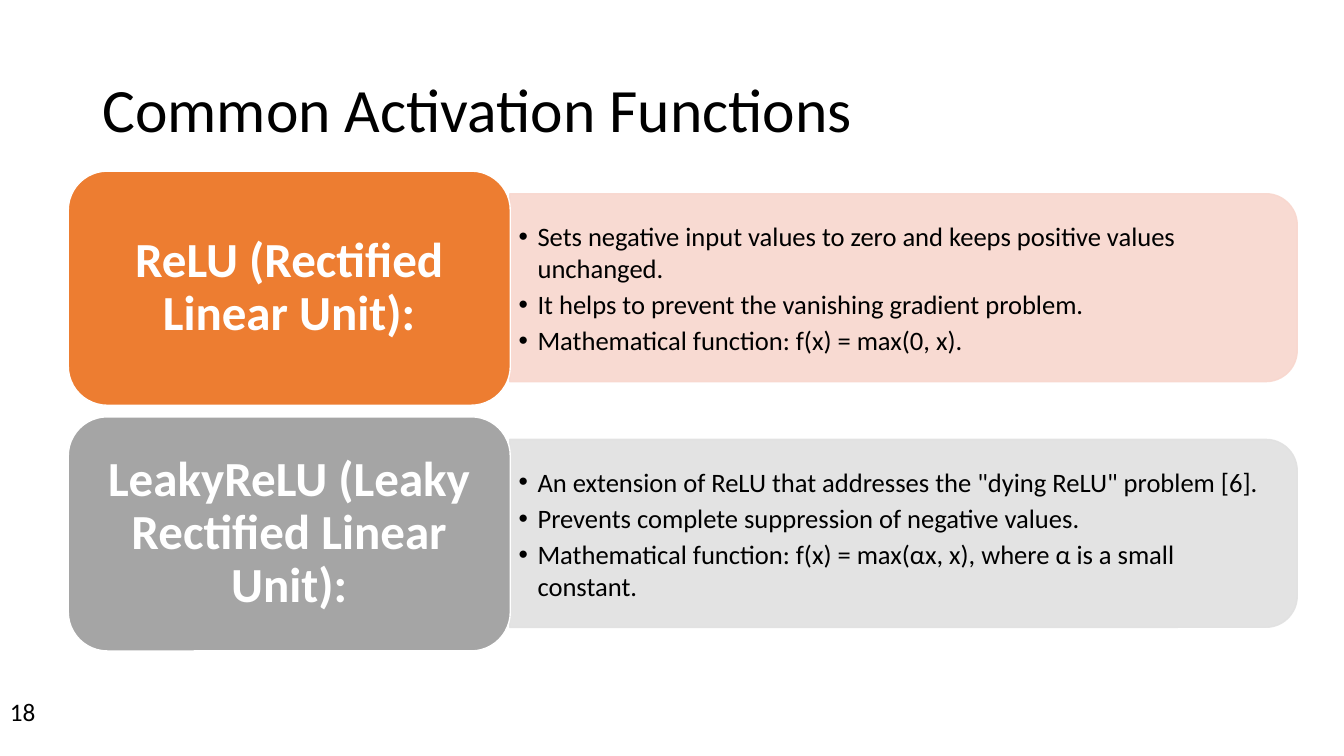
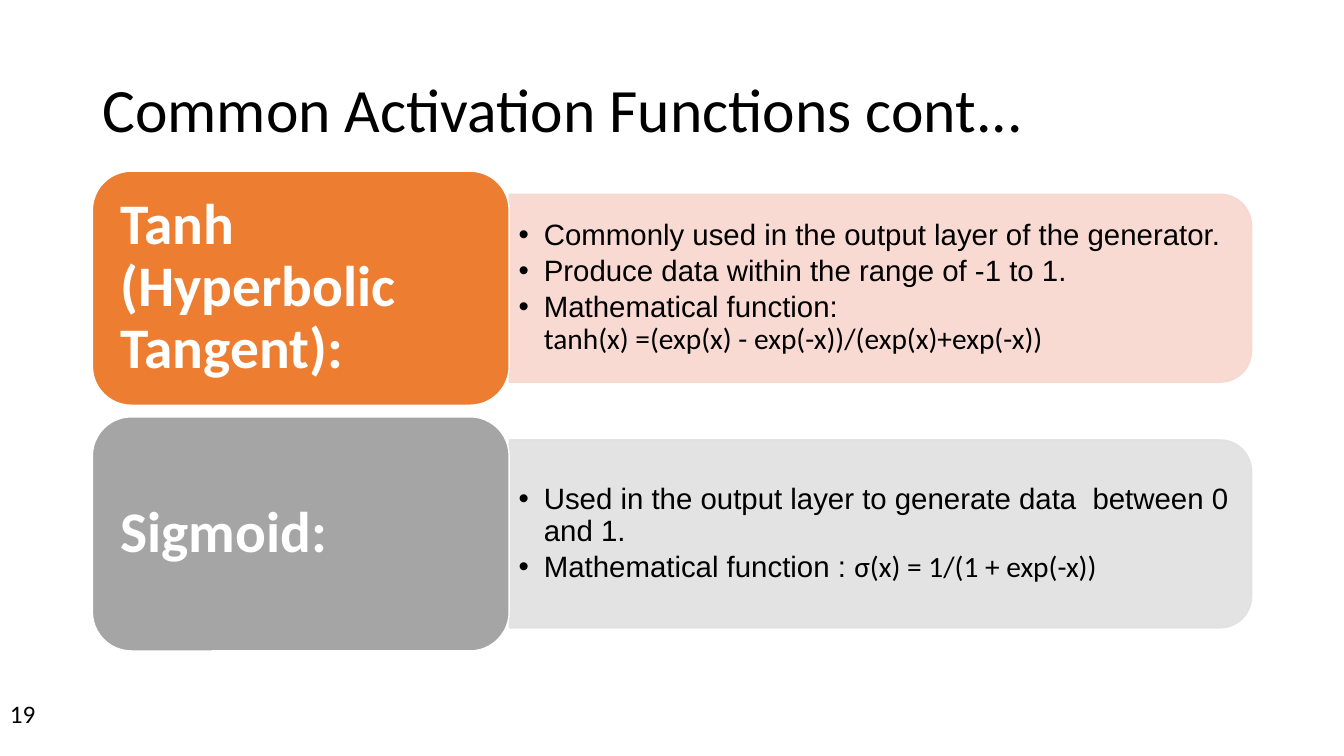
import dataclasses

import pptx
import pptx.dml.color
import pptx.enum.shapes
import pptx.enum.text
import pptx.oxml
import pptx.oxml.ns
import pptx.util

PX = 9525
SHAPES = pptx.enum.shapes.MSO_SHAPE
ALIGN = pptx.enum.text.PP_ALIGN
MIDDLE = pptx.enum.text.MSO_ANCHOR.MIDDLE


@dataclasses.dataclass(frozen=True)
class Theme:
    black: str = "000000"
    white: str = "FFFFFF"
    rows: tuple = (("ED7D31", "F8D7CE"), ("A5A5A5", "E1E1E1"))
    panel_opacity: int = 90
    font: str = "Calibri"
    title_size: int = 44
    number_size: int = 18


THEME = Theme()


@dataclasses.dataclass(frozen=True)
class Box:
    left: int
    top: int
    width: int
    height: int

    def emu(self):
        return [value * PX for value in dataclasses.astuple(self)]


@dataclasses.dataclass(frozen=True)
class CardStyle:
    """What differs between the card lists of the two slides."""
    label_width: int
    label_size: int
    label_align: ALIGN
    label_insets: tuple
    body_font: str
    body_size: int
    body_insets: tuple
    line_spacing: float
    hanging: int


CENTRED = CardStyle(421, 35, ALIGN.CENTER, (14, 7), "Calibri", 19, (8, 4), 1.0, 18)
LEFT_SET = CardStyle(397, 41, ALIGN.LEFT, (16, 8), "Arial", 21, (9, 4), 0.9, 24)

TITLE_BOX = Box(88, 38, 1104, 139)
ROW_HEIGHT = 223
ROW_GAP = 11
PANEL_INSET = 22
TEXT_INSET = 9

SLIDES = (
    {
        "title": "Common Activation Functions",
        "number": ("18", Box(0, 658, 288, 38)),
        "style": CENTRED,
        "area": Box(65, 163, 1171, 457),
        "cards": (
            ("ReLU (Rectified Linear Unit):", (
                ("Sets negative input values to zero and keeps positive values unchanged.",),
                ("It helps to prevent the vanishing gradient problem.",),
                ("Mathematical function: f(x) = max(0, x).",),
            )),
            ("LeakyReLU (Leaky Rectified Linear Unit):", (
                ('An extension of ReLU that addresses the "dying ReLU" problem [6].',),
                ("Prevents complete suppression of negative values.",),
                ("Mathematical function: f(x) = max(αx, x), where α is a small constant.",),
            )),
        ),
    },
    {
        "title": "Common Activation Functions cont...",
        "number": ("19", Box(0, 660, 288, 38)),
        "style": LEFT_SET,
        "area": Box(88, 163, 1104, 457),
        "cards": (
            ("Tanh (Hyperbolic Tangent):", (
                ("Commonly used in the output layer of the generator.",),
                ("Produce data within the range of -1 to 1.",),
                ("Mathematical function:\n", "tanh(x) =(exp(x) - exp(-x))/(exp(x)+exp(-x))"),
            )),
            ("Sigmoid:", (
                ("Used in the output layer to generate data  between 0 and 1.",),
                ("Mathematical function : ", "σ(x) = 1/(1 + exp(-x))"),
            )),
        ),
    },
)


def rgb(value):
    return pptx.dml.color.RGBColor.from_string(value)


def assign(target, values):
    for name, value in values.items():
        setattr(target, name, value)


def format_run(run, size, color, font=THEME.font, bold=False):
    assign(run.font, {"size": pptx.util.Pt(size), "name": font, "bold": bold})
    run.font.color.rgb = rgb(color)


def format_frame(frame, insets):
    across, down = (inset * PX for inset in insets)
    assign(frame, {
        "word_wrap": True, "vertical_anchor": MIDDLE,
        "margin_left": across, "margin_right": across,
        "margin_top": down, "margin_bottom": down,
    })


def paint(shape, fill, line):
    shape.shadow.inherit = False
    shape.fill.solid()
    shape.fill.fore_color.rgb = rgb(fill)
    shape.line.color.rgb = rgb(line)
    shape.line.width = pptx.util.Pt(1)


def set_opacity(shape, percent):
    """Make both fill and outline partly transparent."""
    for color in shape.element.spPr.iter(pptx.oxml.ns.qn("a:srgbClr")):
        alpha = pptx.oxml.parse_xml(f'<a:alpha {pptx.oxml.ns.nsdecls("a")} val="{percent * 1000}"/>')
        color.append(alpha)


def add_bullet(paragraph, hanging):
    properties = paragraph._p.get_or_add_pPr()
    properties.set("marL", str(hanging * PX))
    properties.set("indent", str(-hanging * PX))
    for tag, attribute in (("buFont", 'typeface="Arial"'), ("buChar", 'char="•"')):
        properties.append(pptx.oxml.parse_xml(f'<a:{tag} {pptx.oxml.ns.nsdecls("a")} {attribute}/>'))


def place_title(slide, text, box):
    title = slide.shapes.title
    assign(title, dict(zip(("left", "top", "width", "height"), box.emu())))
    title.text_frame.text = text
    assign(title.text_frame, {"word_wrap": True, "vertical_anchor": MIDDLE})
    heading = title.text_frame.paragraphs[0]
    assign(heading, {"alignment": ALIGN.LEFT, "line_spacing": 0.9})
    format_run(heading.runs[0], THEME.title_size, THEME.black)


def place_number(slide, text, box):
    frame = slide.shapes.add_textbox(*box.emu()).text_frame
    frame.word_wrap = True
    frame.text = text
    format_run(frame.paragraphs[0].runs[0], THEME.number_size, THEME.black)


def place_panel(slide, box, color):
    """Draw a panel with its two right corners rounded, as a quarter-turned shape."""
    upright = Box(box.left + (box.width - box.height) // 2,
                  box.top + (box.height - box.width) // 2, box.height, box.width)
    panel = slide.shapes.add_shape(SHAPES.ROUND_2_SAME_RECTANGLE, *upright.emu())
    panel.rotation = 90
    paint(panel, color, color)
    set_opacity(panel, THEME.panel_opacity)


def place_points(slide, box, points, style):
    frame = slide.shapes.add_textbox(*box.emu()).text_frame
    format_frame(frame, style.body_insets)
    for index, (statement, *formulas) in enumerate(points):
        point = frame.add_paragraph() if index else frame.paragraphs[0]
        add_bullet(point, style.hanging)
        assign(point, {"text": statement, "line_spacing": style.line_spacing,
                       "space_after": pptx.util.Pt(3)})
        for run in point.runs:
            format_run(run, style.body_size, THEME.black, style.body_font)
        for formula in formulas:
            run = point.add_run()
            run.text = formula
            format_run(run, style.body_size, THEME.black)


def place_label(slide, box, text, color, style):
    label = slide.shapes.add_shape(SHAPES.ROUNDED_RECTANGLE, *box.emu())
    paint(label, color, THEME.white)
    format_frame(label.text_frame, style.label_insets)
    label.text_frame.text = text
    name = label.text_frame.paragraphs[0]
    assign(name, {"alignment": style.label_align, "line_spacing": 0.9})
    format_run(name.runs[0], style.label_size, THEME.white, bold=True)


def place_card(slide, box, card, colors, style):
    name, points = card
    strong, pale = colors
    panel = Box(box.left + style.label_width, box.top + PANEL_INSET,
                box.width - style.label_width, box.height - 2 * PANEL_INSET)
    text = Box(panel.left, panel.top + TEXT_INSET,
               panel.width - TEXT_INSET, panel.height - 2 * TEXT_INSET)
    place_panel(slide, panel, pale)
    place_points(slide, text, points, style)
    place_label(slide, Box(box.left, box.top, style.label_width, box.height), name, strong, style)


def place_cards(slide, area, cards, style):
    for row, (card, colors) in enumerate(zip(cards, THEME.rows)):
        top = area.top + row * (ROW_HEIGHT + ROW_GAP)
        place_card(slide, Box(area.left, top, area.width, ROW_HEIGHT), card, colors, style)


def build_slide(presentation, content):
    slide = presentation.slides.add_slide(presentation.slide_layouts[5])
    place_title(slide, content["title"], TITLE_BOX)
    place_number(slide, *content["number"])
    place_cards(slide, content["area"], content["cards"], content["style"])


def main():
    presentation = pptx.Presentation()
    assign(presentation, {"slide_width": 1280 * PX, "slide_height": 720 * PX})
    for content in SLIDES:
        build_slide(presentation, content)
    presentation.save("out.pptx")


if __name__ == "__main__":
    main()
